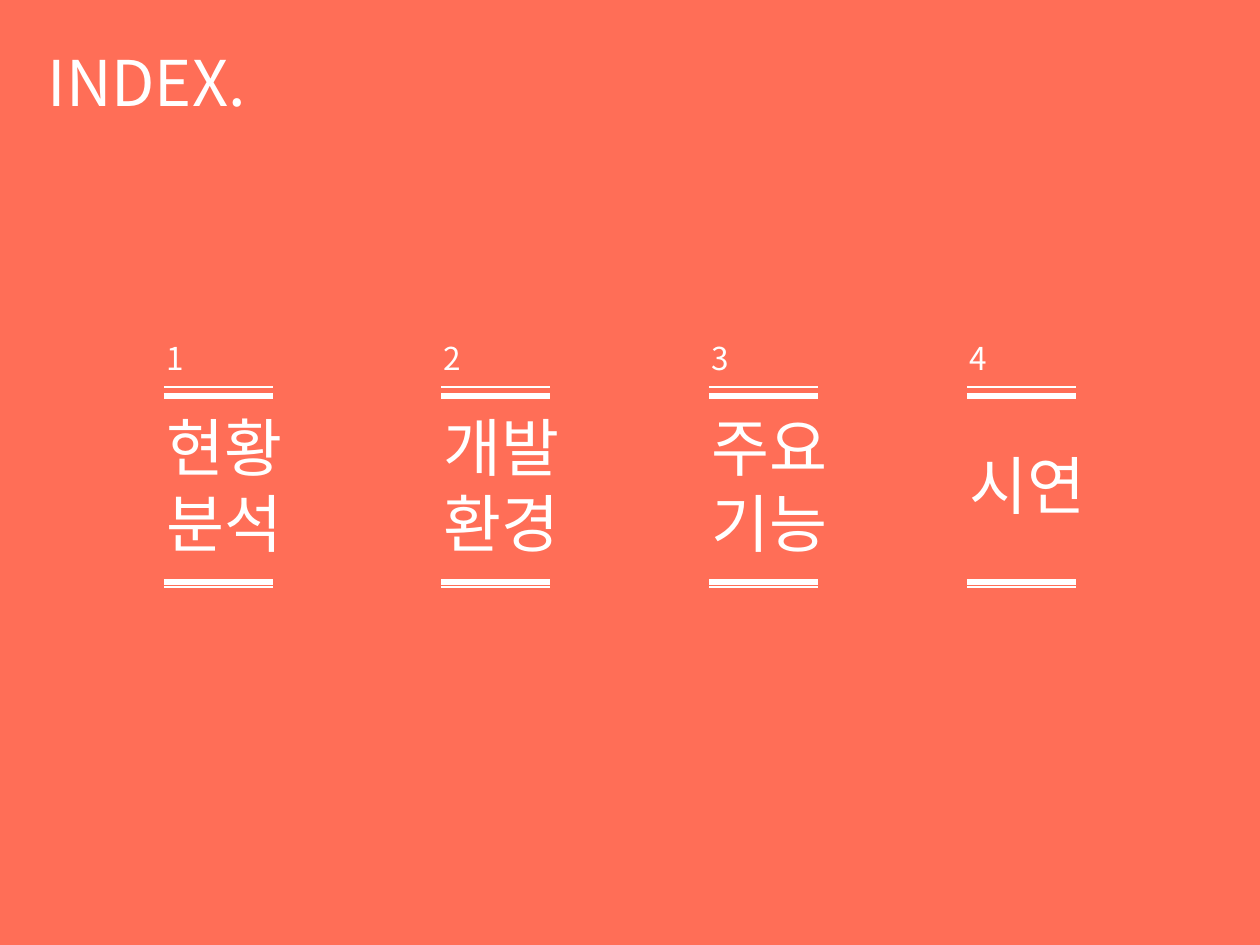
"""Build an index slide with four numbered topics between double rules."""
import pptx
import pptx.util
import pptx.dml.color
import pptx.enum.lang
import pptx.enum.shapes
import pptx.enum.text
import pptx.oxml

TITLE = "INDEX."
TOPICS = [
    (164, ["현황", "분석"], 2),
    (441, ["개발환경"], 2),
    (709, ["주요기능"], 2),
    (967, ["시연"], 1),
]
RULES = [(387, 0.75), (396, 3), (582, 3), (587, 0.75)]
THEME = {
    "back": "FF6E57", "ink": "FFFFFF", "font": "Noto Sans CJK KR",
    "large": 36, "small": 18,
}
WIDE, HIGH = 1260, 945
RULE, BOX, INSET = 109, 159, 10
MIDDLE = 485
HEIGHTS = {1: 89, 2: 165}


def px(num):
    return pptx.util.Emu(round(num * 914400 / 126))


def color(key):
    return pptx.dml.color.RGBColor.from_string(THEME[key])


def put_text(shape, lines, *, size, area):
    shape.left, shape.top, shape.width, shape.height = map(px, area)
    frame = shape.text_frame
    frame.text = "\n".join(lines)
    frame.word_wrap = True
    frame.auto_size = pptx.enum.text.MSO_AUTO_SIZE.SHAPE_TO_FIT_TEXT
    frame.vertical_anchor = pptx.enum.text.MSO_ANCHOR.TOP
    for para in frame.paragraphs:
        para.alignment = pptx.enum.text.PP_ALIGN.LEFT
        for run in para.runs:
            font = run.font
            font.size = pptx.util.Pt(THEME[size])
            font.name = THEME["font"]
            font.color.rgb = color("ink")
            font.language_id = pptx.enum.lang.MSO_LANGUAGE_ID.KOREAN
            asian = pptx.oxml.parse_xml(
                '<a:ea xmlns:a="http://schemas.openxmlformats.org/drawingml/2006/main"'
                f' typeface="{THEME["font"]}"/>')
            font._element.find(pptx.oxml.ns.qn("a:latin")).addnext(asian)


def add_rule(slide, left, top, weight):
    line = slide.shapes.add_connector(
        pptx.enum.shapes.MSO_CONNECTOR.STRAIGHT,
        px(left), px(top), px(left + RULE), px(top))
    line.line.color.rgb = color("ink")
    line.line.width = pptx.util.Pt(weight)
    line._element.spPr.append(pptx.oxml.parse_xml(
        '<a:effectLst xmlns:a="http://schemas.openxmlformats.org/drawingml/2006/main"/>'))


def add_back(slide):
    back = slide.shapes.add_shape(
        pptx.enum.shapes.MSO_SHAPE.RECTANGLE, 0, 0, px(WIDE), px(HIGH))
    back.shadow.inherit = False
    back.fill.solid()
    back.fill.fore_color.rgb = color("back")
    back.line.fill.background()
    slide.shapes.title._element.addprevious(back._element)


def add_topic(slide, num, left, lines, rows):
    high = HEIGHTS[rows]
    parts = [
        ([str(num)], "small", 333, 50),
        (lines, "large", MIDDLE - high / 2, high),
    ]
    for words, size, top, tall in parts:
        box = slide.shapes.add_textbox(0, 0, 0, 0)
        put_text(box, words, size=size, area=(left - INSET, top, BOX, tall))
    for top, weight in RULES:
        add_rule(slide, left, top, weight)


def main():
    deck = pptx.Presentation()
    deck.slide_width, deck.slide_height = px(WIDE), px(HIGH)
    slide = deck.slides.add_slide(deck.slide_layouts[5])
    add_back(slide)
    put_text(slide.shapes.title, [TITLE], size="large", area=(35, 37, 427, 89))
    for num, (left, lines, rows) in enumerate(TOPICS, 1):
        add_topic(slide, num, left, lines, rows)
    deck.save("out.pptx")


if __name__ == "__main__":
    main()
